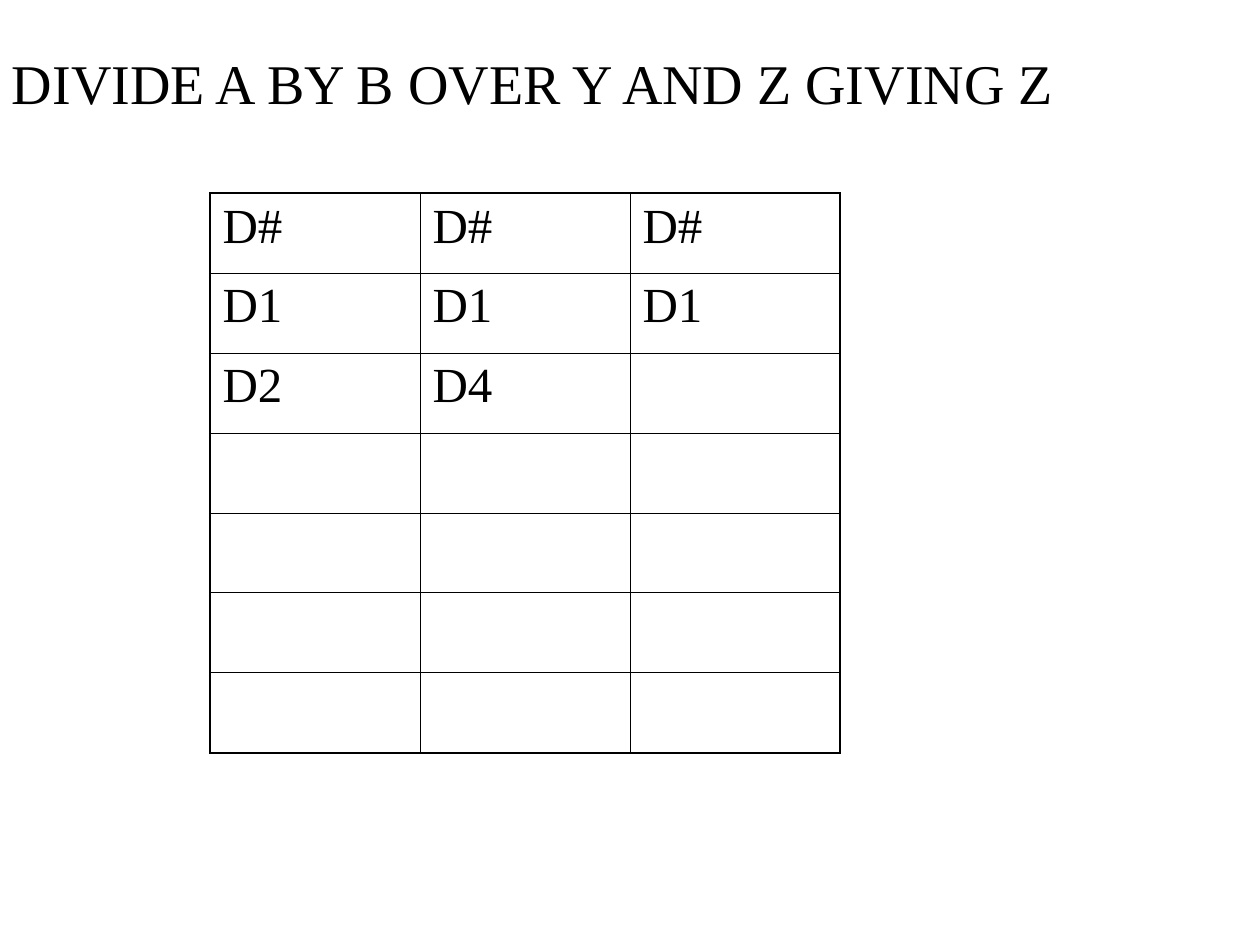
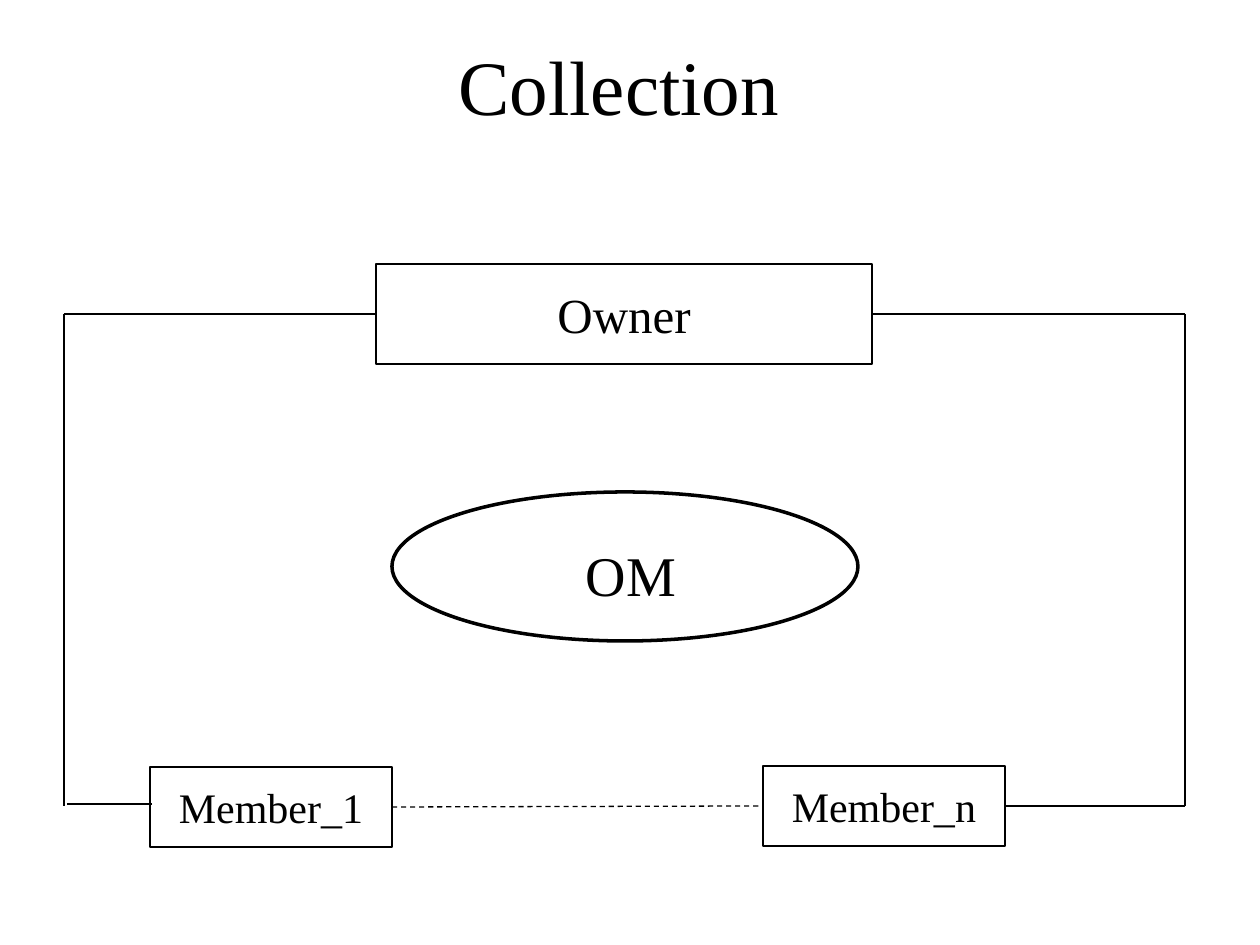
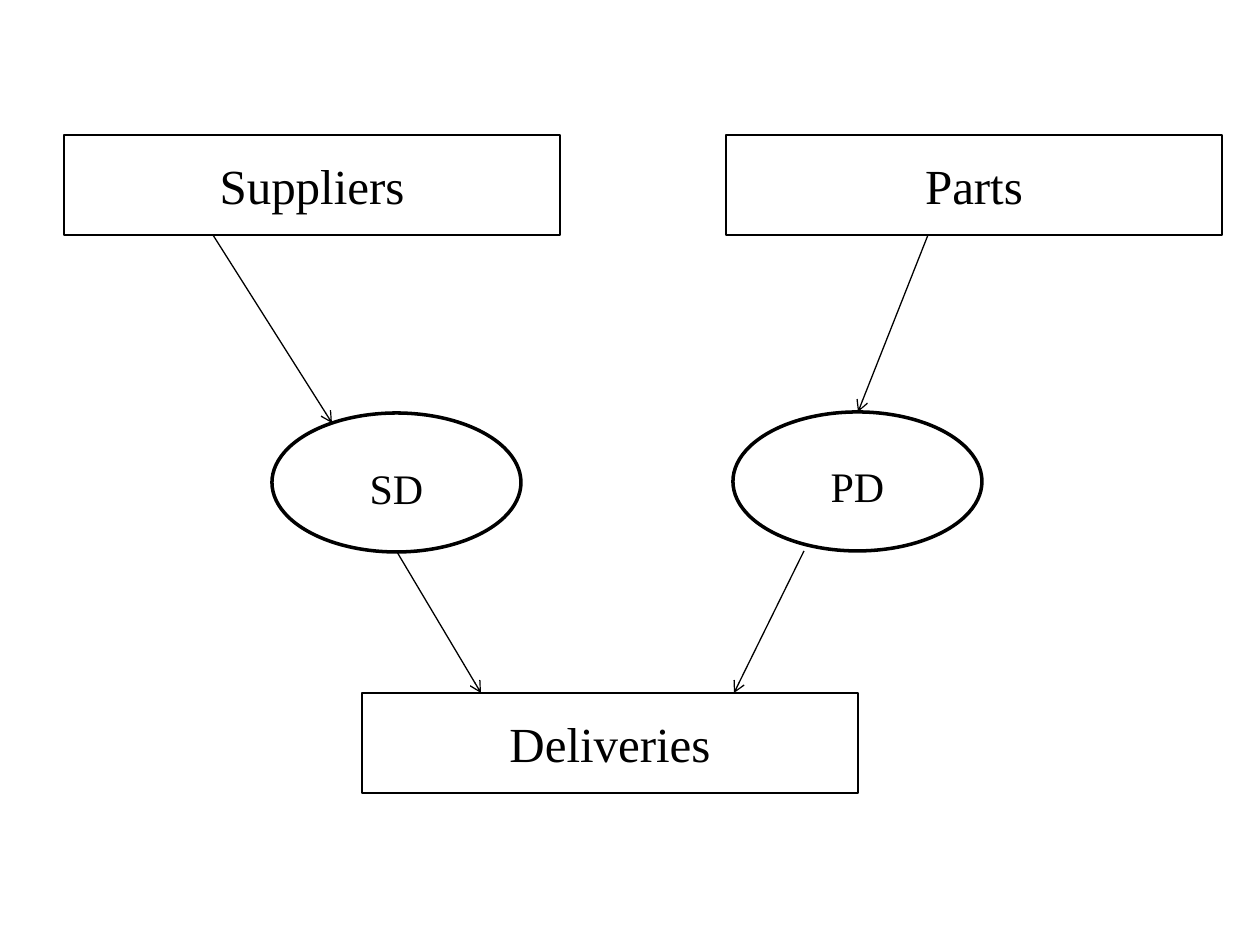
from lxml.etree import SubElement
from pptx import Presentation
from pptx.dml.color import RGBColor
from pptx.enum.dml import MSO_LINE_DASH_STYLE as Dash
from pptx.enum.shapes import MSO_CONNECTOR as Connector, MSO_SHAPE as Preset
from pptx.enum.text import MSO_ANCHOR as Anchor, PP_ALIGN as Align
from pptx.oxml.ns import qn
from pptx.util import Pt

PX = 914400 / 126
COLORS = {"ink": "000000", "paper": "FFFFFF"}
INK = RGBColor.from_string(COLORS["ink"])
FONT = "Times New Roman"
THIN, OUTER, BOLD = 0.45, 1.08, 2
NO_INSETS = (0, 0, 0, 0)
TOP, LEFT, BOTTOM, RIGHT = range(4)


def px(*lengths):
    """Turn px lengths into EMU."""
    return [round(length * PX) for length in lengths]


def set_all(target, values):
    """Set each attribute of target from a dict."""
    for name, value in values.items():
        setattr(target, name, value)


def write(frame, text, size, insets, anchor=Anchor.MIDDLE, align=Align.CENTER):
    """Write one paragraph; insets run left, top, right, bottom."""
    left, top, right, bottom = px(*insets)
    set_all(frame, {
        "word_wrap": True, "vertical_anchor": anchor,
        "margin_left": left, "margin_top": top,
        "margin_right": right, "margin_bottom": bottom,
    })
    paragraph = frame.paragraphs[0]
    paragraph.alignment = align
    add_run(paragraph, text, size)


def add_run(paragraph, text, size):
    """Add a run in the shared font."""
    run = paragraph.add_run()
    run.text = text
    set_all(run.font, {"name": FONT, "size": Pt(size)})
    run.font.color.rgb = INK


def add_label(slide, text, box, size, insets=NO_INSETS, **layout):
    """Add a text box without outline."""
    shape = slide.shapes.add_textbox(*px(*box))
    write(shape.text_frame, text, size, insets, **layout)


def add_outline(slide, preset, box, width):
    """Add an unfilled shape with a dark outline."""
    shape = slide.shapes.add_shape(preset, *px(*box))
    shape.shadow.inherit = False
    shape.fill.background()
    shape.line.color.rgb = INK
    shape.line.width = Pt(width)
    return shape


def add_record(slide, text, left, top, width=496, height=100, size=28):
    """Add a rectangle that names a record type."""
    shape = add_outline(slide, Preset.RECTANGLE, (left, top, width, height), 0.75)
    write(shape.text_frame, text, size, NO_INSETS)
    return shape


def add_member(slide, text, left, top):
    """Add a small member record."""
    return add_record(slide, text, left, top, 242, 80, 24)


def add_set_type(slide, text, left, top):
    """Add an ellipse and the name of its set type."""
    add_outline(slide, Preset.OVAL, (left, top, 249, 139), BOLD)
    add_label(slide, text, (left + 70, top + 38, 109, 63), 24,
              (12, 11, 12, 6), anchor=Anchor.TOP)


def add_line(slide, start, end, begin=None, finish=None, dashed=False, arrow=False):
    """Draw a straight line; begin and finish are (shape, side) pairs to join."""
    line = slide.shapes.add_connector(Connector.STRAIGHT, *px(*start, *end))
    line.line.color.rgb = INK
    line.line.width = Pt(0.75)
    if dashed:
        line.line.dash_style = Dash.DASH
    if arrow:
        SubElement(line.line._get_or_add_ln(), qn("a:tailEnd"), type="arrow")
    SubElement(line._element.spPr, qn("a:effectLst"))
    if begin:
        line.begin_connect(*begin)
    if finish:
        line.end_connect(*finish)


def set_borders(cell, widths):
    """Draw cell borders from a dict of side and point width."""
    properties = cell._tc.get_or_add_tcPr()
    for side, width in widths.items():
        border = SubElement(properties, qn(f"a:ln{side}"), w=str(Pt(width)))
        fill = SubElement(border, qn("a:solidFill"))
        SubElement(fill, qn("a:srgbClr"), val=COLORS["ink"])


def add_grid(slide, rows, left, top, column_width, row_height):
    """Add a ruled table with a heavier outer border."""
    row_count, column_count = len(rows), len(rows[0])
    box = px(left, top, column_width * column_count, row_height * row_count)
    table = slide.shapes.add_table(row_count, column_count, *box).table
    set_all(table, {"first_row": False, "horz_banding": False})
    for r, row in enumerate(rows):
        for c, text in enumerate(row):
            cell = table.cell(r, c)
            set_borders(cell, {
                "L": OUTER if c == 0 else THIN,
                "R": OUTER if c == column_count - 1 else THIN,
                "T": OUTER if r == 0 else THIN,
                "B": OUTER if r == row_count - 1 else THIN,
            })
            cell.fill.background()
            if text:
                add_run(cell.text_frame.paragraphs[0], text, 28)


def build_divide(slide):
    """Show the division statement and its relations."""
    add_label(slide, "DIVIDE A BY B OVER Y AND Z GIVING Z", (0, 35, 1260, 910), 32,
              (12, 14, 12, 6), anchor=Anchor.TOP, align=Align.LEFT)
    rows = [("D#",) * 3, ("D1",) * 3, ("D2", "D4", "")] + [("",) * 3] * 4
    add_grid(slide, rows, 210, 193, 210, 80)


def build_collection(slide):
    """Show an owner linked in a ring with its members."""
    first = add_member(slide, "Member_1", 150, 767)
    owner = add_record(slide, "Owner", 376, 264)
    last = add_member(slide, "Member_n", 763, 766)
    add_line(slide, (64, 314), (376, 314), finish=(owner, LEFT))
    add_line(slide, (64, 314), (64, 806))
    add_line(slide, (67, 804), (152, 804))
    add_line(slide, (392, 806), (763, 806), (first, RIGHT), (last, LEFT), dashed=True)
    add_line(slide, (1005, 806), (1185, 806), begin=(last, RIGHT))
    add_line(slide, (1185, 314), (1185, 806))
    add_line(slide, (872, 314), (1185, 314), begin=(owner, RIGHT))
    add_label(slide, "Collection", (123, 26, 992, 118), 44, (12, 6, 12, 6))
    add_outline(slide, Preset.OVAL, (392, 492, 466, 149), BOLD)
    add_label(slide, "OM", (501, 533, 260, 67), 32, (0, 7, 0, 0), anchor=Anchor.TOP)


def build_deliveries(slide):
    """Show suppliers and parts that both own deliveries."""
    for text, left, top in [("Parts", 726, 135), ("Deliveries", 362, 693),
                            ("Suppliers", 64, 135)]:
        add_record(slide, text, left, top)
    add_set_type(slide, "SD", 272, 413)
    add_set_type(slide, "PD", 733, 412)
    for start, end in [((213, 235), (332, 423)), ((397, 552), (481, 693)),
                       ((928, 235), (858, 412)), ((804, 551), (734, 693))]:
        add_line(slide, start, end, arrow=True)


def main():
    """Build and save the presentation."""
    presentation = Presentation()
    width, height = px(1260, 945)
    set_all(presentation, {"slide_width": width, "slide_height": height})
    for build in (build_divide, build_collection, build_deliveries):
        slide = presentation.slides.add_slide(presentation.slide_layouts[6])
        background = slide.background.fill
        background.solid()
        background.fore_color.rgb = RGBColor.from_string(COLORS["paper"])
        build(slide)
    presentation.save("out.pptx")


if __name__ == "__main__":
    main()
